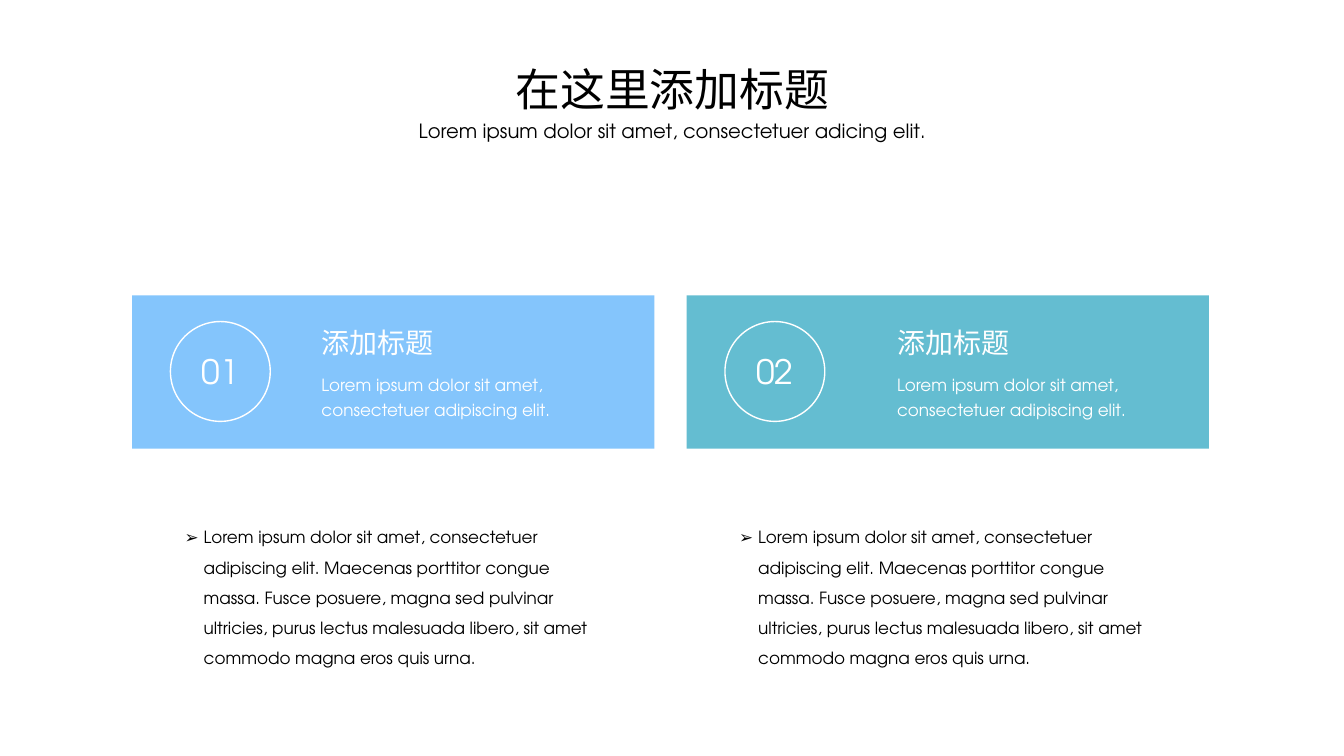
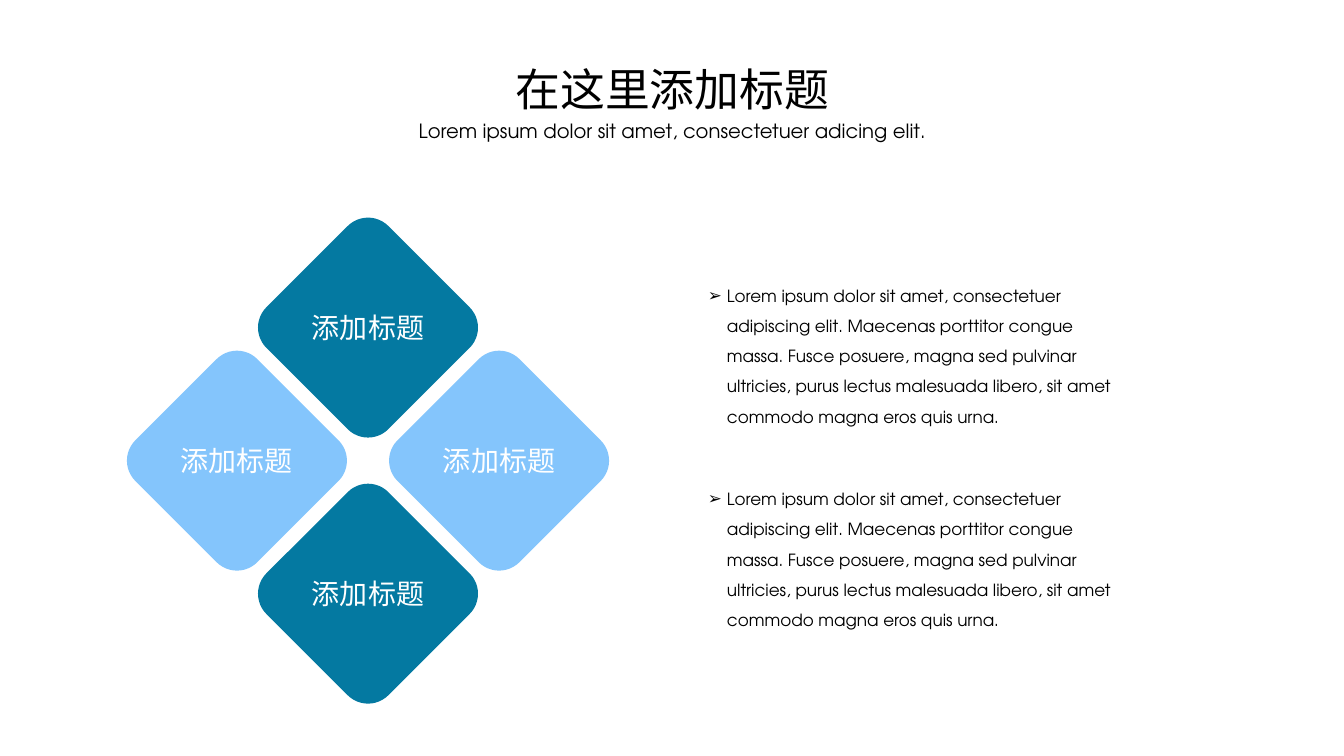
"""Build two slides: a pair of numbered cards and a ring of four diamonds."""
from lxml import etree
from pptx import Presentation
from pptx.dml.color import RGBColor
from pptx.enum.shapes import MSO_SHAPE
from pptx.enum.text import MSO_ANCHOR, MSO_AUTO_SIZE, PP_ALIGN
from pptx.oxml.ns import qn
from pptx.util import Inches, Pt

LEFT, CENTER = PP_ALIGN.LEFT, PP_ALIGN.CENTER
TOP, MIDDLE = MSO_ANCHOR.TOP, MSO_ANCHOR.MIDDLE
FIXED = MSO_AUTO_SIZE.NONE
RECT, OVAL, ROUND = MSO_SHAPE.RECTANGLE, MSO_SHAPE.OVAL, MSO_SHAPE.ROUNDED_RECTANGLE

LATIN, HAN = "TeX Gyre Adventor", "Noto Sans CJK SC"
BLACK, WHITE = "000000", "FFFFFF"
SKY, TEAL, DEEP = "84C5FC", "64BDD1", "0479A1"

TITLE = "在这里添加标题"
SUB = "Lorem ipsum dolor sit amet, consectetuer adicing elit."
LABEL = "添加标题"
BRIEF = "Lorem ipsum dolor sit amet, consectetuer adipiscing elit."
BODY = ("Lorem ipsum dolor sit amet, consectetuer adipiscing elit. "
        "Maecenas porttitor congue massa. Fusce posuere, magna sed pulvinar "
        "ultricies, purus lectus malesuada libero, sit amet commodo magna "
        "eros quis urna.")

CARDS = [("01", SKY, 1.31, 3.09), ("02", TEAL, 6.81, 8.8)]
CARD_TOP = 2.93
LISTS = [(6.92, 2.68), (6.92, 4.7)]
DIAMONDS = [(-1, 0, SKY), (0, -1, DEEP), (1, 0, SKY), (0, 1, DEEP)]
HUB_X, HUB_Y, STEP_X, STEP_Y, SIDE = 3.65, 4.57, 1.3, 1.32, 1.71


def color(code):
    return RGBColor.from_string(code)


def place(shape, x, y, w, h):
    shape.left, shape.top = Inches(x), Inches(y)
    shape.width, shape.height = Inches(w), Inches(h)


def write(shape, text, size, face=LATIN, ink=BLACK, align=LEFT,
          space=1.0, wrap=True, anchor=TOP, bullet=None):
    frame = shape.text_frame
    frame.word_wrap, frame.auto_size = wrap, FIXED
    frame.vertical_anchor = anchor
    para = frame.paragraphs[0]
    if bullet:
        props = para._p.get_or_add_pPr()
        props.set("marL", str(Inches(0.19)))
        props.set("indent", str(-Inches(0.19)))
        etree.SubElement(props, qn("a:buChar")).set("char", bullet)
    para.alignment, para.line_spacing = align, space
    para.space_before = Pt(0)
    run = para.add_run()
    run.text = text
    font = run.font
    font.size, font.name = Pt(size), face
    font.color.rgb = color(ink)
    east = etree.SubElement(run._r.get_or_add_rPr(), qn("a:ea"))
    east.set("typeface", face)


def label(slide, box, text, size, **style):
    shape = slide.shapes.add_textbox(*map(Inches, box))
    write(shape, text, size, **style)


def draw(slide, kind, box, fill=None, line=None):
    shape = slide.shapes.add_shape(kind, *map(Inches, box))
    shape.shadow.inherit = False
    if fill:
        shape.fill.solid()
        shape.fill.fore_color.rgb = color(fill)
    else:
        shape.fill.background()
    if line:
        shape.line.color.rgb = color(line)
        shape.line.width = Pt(1)
    else:
        shape.line.fill.background()
    return shape


def start(deck, spots):
    slide = deck.slides.add_slide(deck.slide_layouts.get_by_name("Two Content"))
    title, *bodies = slide.placeholders
    place(title, 5, 0.56, 3.34, 0.64)
    write(title, TITLE, 32, face=HAN, align=CENTER, wrap=False)
    label(slide, (4.03, 1.13, 5.28, 0.34), SUB, 14, align=CENTER, wrap=False)
    for body, (x, y) in zip(bodies, spots):
        place(body, x, y, 4.35, 1.58)
        write(body, BODY, 12, space=1.5, bullet="➢")
    return slide


def cards(deck):
    slide = start(deck, [(x + 0.42, 5.08) for _, _, x, _ in CARDS])
    for number, fill, x, text_x in CARDS:
        draw(slide, RECT, (x, CARD_TOP, 5.18, 1.52), fill)
        ring = draw(slide, OVAL, (x + 0.38, CARD_TOP + 0.26, 0.99, 0.99), line=WHITE)
        write(ring, number, 24, ink=WHITE, align=CENTER, anchor=MIDDLE)
        label(slide, (text_x, CARD_TOP + 0.25, 1.32, 0.44), LABEL, 20,
              face=HAN, ink=WHITE, wrap=False)
        label(slide, (text_x, CARD_TOP + 0.69, 2.57, 0.58), BRIEF, 12,
              ink=WHITE, space=1.25)


def diamonds(deck):
    slide = start(deck, LISTS)
    for col, row, fill in DIAMONDS:
        x, y = HUB_X + col * STEP_X, HUB_Y + row * STEP_Y
        shape = draw(slide, ROUND, (x - SIDE / 2, y - SIDE / 2, SIDE, SIDE), fill)
        shape.rotation = 45
        label(slide, (x - 0.66, y - 0.22, 1.32, 0.44), LABEL, 20,
              face=HAN, ink=WHITE, align=CENTER, wrap=False)


def main():
    deck = Presentation()
    deck.slide_width, deck.slide_height = Inches(13.33), Inches(7.5)
    cards(deck)
    diamonds(deck)
    deck.save("out.pptx")


if __name__ == "__main__":
    main()
